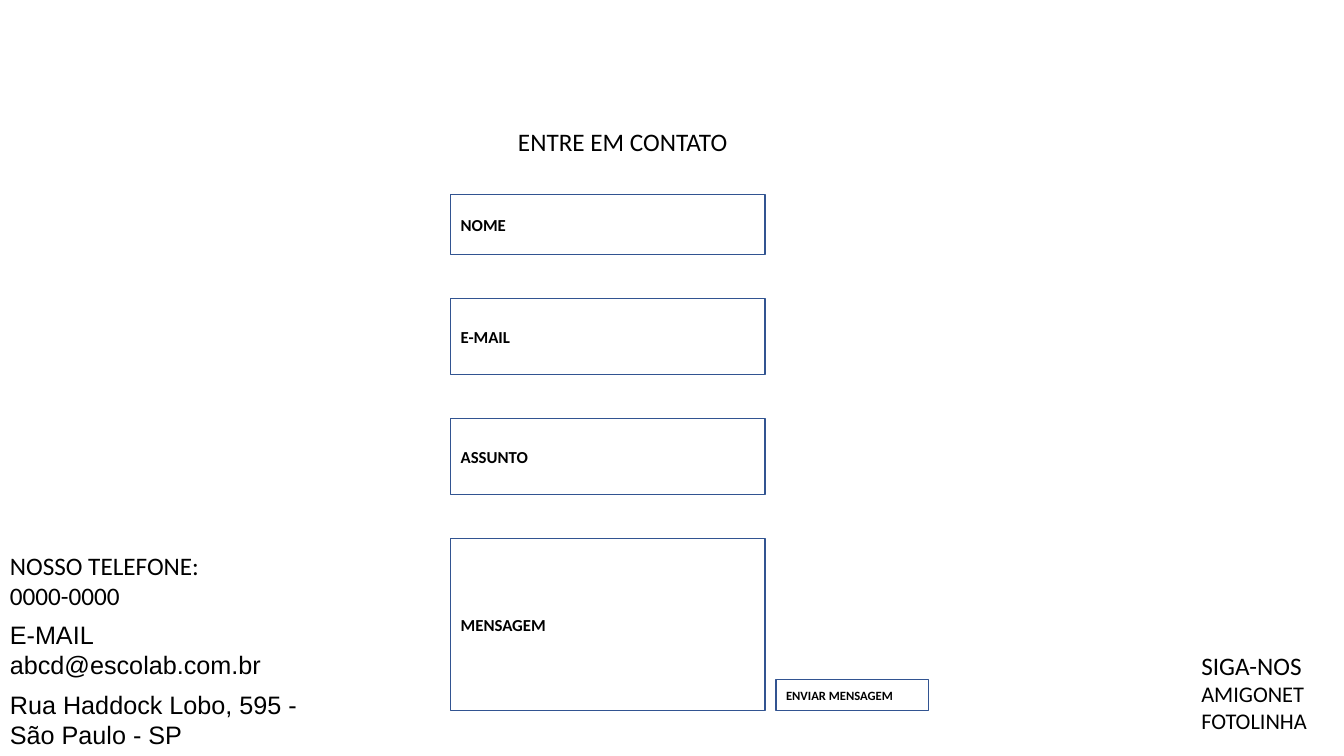
import pptx
import pptx.util
import pptx.dml.color
import pptx.enum.shapes
import pptx.enum.text
import lxml.etree
from dataclasses import dataclass

Cm = pptx.util.Cm
Pt = pptx.util.Pt
RGB = pptx.dml.color.RGBColor
Anchor = pptx.enum.text.MSO_ANCHOR


@dataclass(frozen=True)
class Theme:
    ink: RGB = RGB(0, 0, 0)
    paper: RGB = RGB(255, 255, 255)
    border: RGB = RGB(0x32, 0x54, 0x91)
    form_font: str = "Calibri"
    address_font: str = "Arial"
    heading: int = 18
    network: int = 16
    label: int = 12
    button: int = 9


theme = Theme()

HEADING = "ENTRE EM CONTATO"
FIELDS = [("NOME", 1.52), ("E-MAIL", 1.91), ("ASSUNTO", 1.91), ("MENSAGEM", 4.34)]
SEND = "ENVIAR MENSAGEM"
CONTACTS = [
    (["NOSSO TELEFONE:", "0000-0000"], theme.form_font, 13.74, 5.33),
    (["E-MAIL", "abcd@escolab.com.br"], theme.address_font, 15.47, 13.46),
    (["Rua Haddock Lobo, 595 -\u00a0 São Paulo - SP"], theme.address_font, 17.25, 8.74),
]
FOLLOW = [("SIGA-NOS", theme.heading), ("AMIGONET", theme.network), ("FOTOLINHA", theme.network)]

FORM_LEFT, FORM_TOP, FORM_WIDTH, FIELD_GAP = 11.36, 4.9, 7.92, 1.11
SEND_LEFT, SEND_WIDTH, SEND_HEIGHT = 19.56, 3.84, 0.79
CONTACT_HEIGHT = 1.8


def place(part, left, top, width, height):
    part.left, part.top, part.width, part.height = map(Cm, (left, top, width, height))


def write(part, lines, font=theme.form_font, bold=False, anchor=Anchor.TOP, wrap=True):
    frame = part.text_frame
    frame.auto_size = pptx.enum.text.MSO_AUTO_SIZE.NONE
    frame.word_wrap = wrap
    frame.vertical_anchor = anchor
    for index, (words, size) in enumerate(lines):
        line = frame.add_paragraph() if index else frame.paragraphs[0]
        line.alignment = pptx.enum.text.PP_ALIGN.LEFT
        line.space_before = Pt(0)
        run = line.add_run()
        run.text = words
        run.font.name = font
        run.font.size = Pt(size)
        run.font.bold = bold
        run.font.color.rgb = theme.ink


def add_form_box(words, size, left, top, width, height):
    box = slide.shapes.add_shape(
        pptx.enum.shapes.MSO_SHAPE.RECTANGLE, *map(Cm, (left, top, width, height)))
    box.shadow.inherit = False
    box.fill.solid()
    box.fill.fore_color.rgb = theme.paper
    box.line.color.rgb = theme.border
    box.line.width = Pt(1)
    write(box, [(words, size)], bold=True, anchor=Anchor.MIDDLE)


deck = pptx.Presentation()
deck.slide_width, deck.slide_height = Cm(33.87), Cm(19.05)
slide = deck.slides.add_slide(deck.slide_layouts[1])

heading, follow = slide.placeholders
place(heading, 12.8, 3.05, 5.84, 1.8)
write(heading, [(HEADING, theme.heading)], wrap=False)

top = FORM_TOP
for label, height in FIELDS:
    add_form_box(label, theme.label, FORM_LEFT, top, FORM_WIDTH, height)
    top += height + FIELD_GAP
form_bottom = top - FIELD_GAP
add_form_box(SEND, theme.button, SEND_LEFT, form_bottom - SEND_HEIGHT, SEND_WIDTH, SEND_HEIGHT)

for lines, font, contact_top, width in CONTACTS:
    contact = slide.shapes.add_textbox(*map(Cm, (0, contact_top, width, CONTACT_HEIGHT)))
    write(contact, [(words, theme.heading) for words in lines], font)

place(follow, 30.02, 16.26, 3.6, 2.39)
write(follow, FOLLOW)
for line in follow.text_frame.paragraphs:
    properties = line._p.get_or_add_pPr()
    properties.set("marL", "0")
    properties.set("indent", "0")
    lxml.etree.SubElement(properties, pptx.oxml.ns.qn("a:buNone"))

deck.save("out.pptx")
